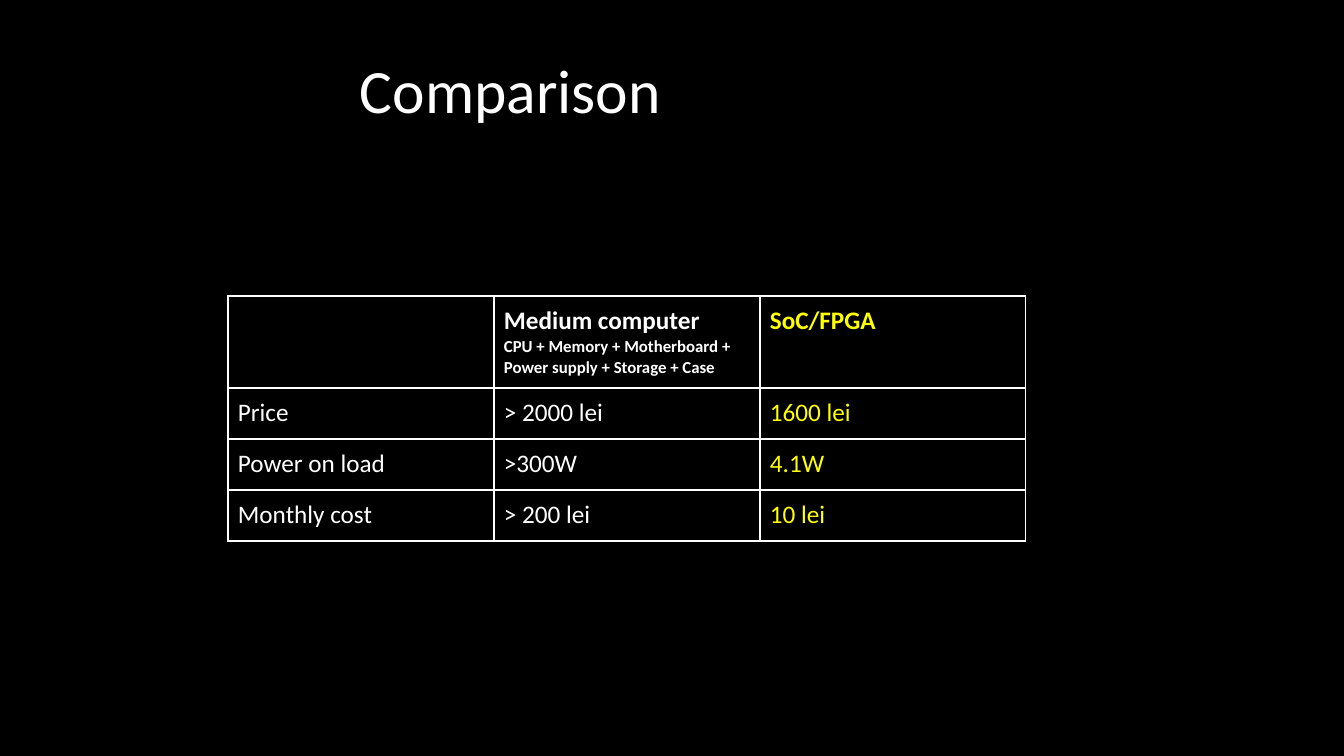
"""Build the Comparison slide: a title and a cost table."""
from lxml import etree
from pptx import Presentation
from pptx.dml.color import RGBColor
from pptx.enum.text import MSO_ANCHOR, MSO_AUTO_SIZE, PP_ALIGN
from pptx.oxml.ns import qn
from pptx.util import Pt

TOP, LEFT, NO_FIT = MSO_ANCHOR.TOP, PP_ALIGN.LEFT, MSO_AUTO_SIZE.NONE
COLOURS = {"back": "000000", "text": "FFFFFF", "highlight": "FFFF00"}
FONT = "Calibri"
HEADING = "Comparison"
COMPARISON = [
    ["", "Medium computer\nCPU + Memory + Motherboard + Power supply + Storage + Case", "SoC/FPGA"],
    ["Price", "> 2000 lei", "1600 lei"],
    ["Power on load", ">300W", "4.1W"],
    ["Monthly cost", "> 200 lei", "10 lei"],
]
COLUMN_COLOURS = ["text", "text", "highlight"]
SLIDE_SIZE = (1344, 756)
HEADING_BOX = (350, 50, 439, 75)
TABLE_CORNER = (228, 296)
COLUMN_WIDTH, HEADER_HEIGHT, ROW_HEIGHT = 266, 92, 51
INSET = 10


def px(length):
    return round(length * 914400 / 100.8)


def rgb(name):
    return RGBColor.from_string(COLOURS[name])


def set_all(target, values):
    for name, value in values.items():
        setattr(target, name, value)


def style_font(font, size, colour, bold=False):
    set_all(font, {"name": FONT, "size": Pt(size), "bold": bold})
    font.color.rgb = rgb(colour)


def add_borders(cell):
    properties = cell._tc.get_or_add_tcPr()
    for side in ("a:lnL", "a:lnR", "a:lnT", "a:lnB"):
        line = etree.SubElement(properties, qn(side), w=str(Pt(1)))
        fill = etree.SubElement(line, qn("a:solidFill"))
        etree.SubElement(fill, qn("a:srgbClr"), val=COLOURS["text"])


def margins(prefix):
    return {f"{prefix}_{side}": px(INSET) for side in ("left", "top", "right", "bottom")}


def add_heading(slide):
    heading = slide.shapes.title
    set_all(heading, dict(zip(("left", "top", "width", "height"), map(px, HEADING_BOX))))
    frame = heading.text_frame
    frame.text = HEADING
    set_all(frame, margins("margin"))
    set_all(frame, {"vertical_anchor": TOP, "auto_size": NO_FIT, "word_wrap": True})
    paragraph = frame.paragraphs[0]
    set_all(paragraph, {"alignment": LEFT, "line_spacing": 0.9})
    style_font(paragraph.runs[0].font, 44, "text")


def add_comparison(slide):
    heights = [HEADER_HEIGHT] + [ROW_HEIGHT] * (len(COMPARISON) - 1)
    columns = len(COLUMN_COLOURS)
    box = (*TABLE_CORNER, columns * COLUMN_WIDTH, sum(heights))
    table = slide.shapes.add_table(len(COMPARISON), columns, *map(px, box)).table
    set_all(table, {"first_row": False, "horz_banding": False})
    for column in table.columns:
        column.width = px(COLUMN_WIDTH)
    for r, (entries, height) in enumerate(zip(COMPARISON, heights)):
        table.rows[r].height = px(height)
        for c, (entry, colour) in enumerate(zip(entries, COLUMN_COLOURS)):
            cell = table.cell(r, c)
            cell.text = entry
            set_all(cell, {**margins("margin"), "vertical_anchor": TOP})
            add_borders(cell)
            cell.fill.solid()
            cell.fill.fore_color.rgb = rgb("back")
            for p, paragraph in enumerate(cell.text_frame.paragraphs):
                for run in paragraph.runs:
                    style_font(run.font, 12 if p else 18, colour, bold=r == 0)


def main():
    deck = Presentation()
    deck.slide_width, deck.slide_height = map(px, SLIDE_SIZE)
    slide = deck.slides.add_slide(deck.slide_layouts[5])
    slide.background.fill.solid()
    slide.background.fill.fore_color.rgb = rgb("back")
    add_comparison(slide)
    add_heading(slide)
    deck.save("out.pptx")


if __name__ == "__main__":
    main()
